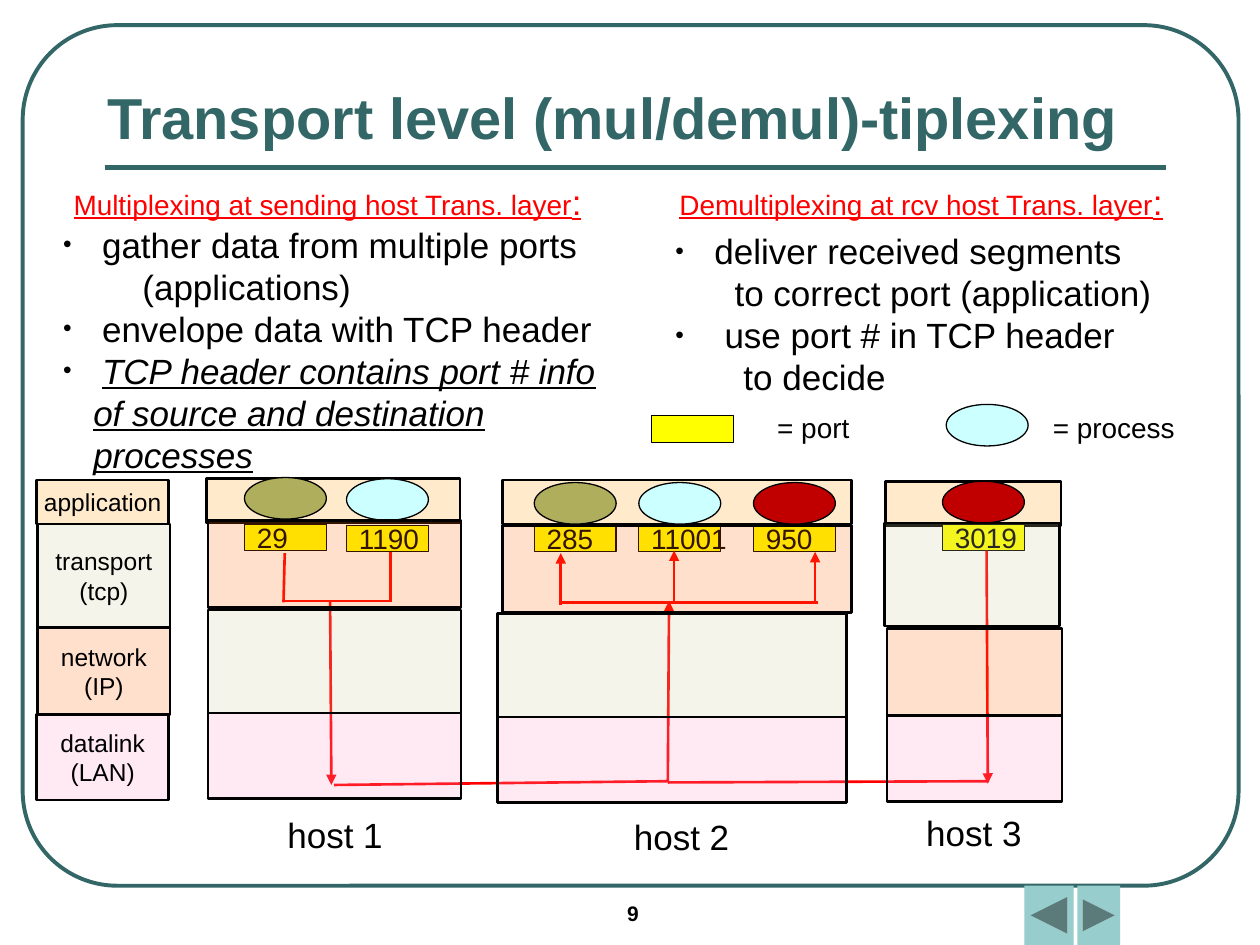
from lxml.etree import SubElement
from pptx import Presentation
from pptx.dml.color import RGBColor
from pptx.enum.shapes import MSO_CONNECTOR as Connector, MSO_SHAPE as Shape
from pptx.enum.text import MSO_ANCHOR as Anchor, MSO_AUTO_SIZE as AutoSize, PP_ALIGN as Align
from pptx.oxml.ns import qn
from pptx.util import Inches, Pt

COLORS = {
    "teal": "336666", "button": "97CDCC", "black": "000000", "white": "FFFFFF",
    "red": "FF0000", "port": "FFFF00", "olive": "AEAE5D", "cyan": "CCFFFF",
    "crimson": "C00000", "application": "FF9900", "transport": "CCCC99",
    "network": "FF6600", "datalink": "FF99CC",
}
HEIGHTS = {"application": 0.35, "transport": 0.82, "network": 0.69, "datalink": 0.68}
PROCESS_SIZE = (0.65, 0.33)
PORT_SIZE = (0.65, 0.21)


class SlideBuilder:
    """Hold the style and the current slide, and draw each kind of element."""

    font_name = "Arial"

    def __init__(self, slide):
        self.slide = slide

    def add_run(self, paragraph, text, size, color="black", **formats):
        run = paragraph.add_run()
        run.text = text
        values = {"name": self.font_name, "size": Pt(size), "bold": False, **formats}
        for name, value in values.items():
            setattr(run.font, name, value)
        run.font.color.rgb = RGBColor.from_string(COLORS[color])

    def set_frame(self, frame, **formats):
        values = {"word_wrap": False, "auto_size": AutoSize.NONE, **formats}
        for name, value in values.items():
            setattr(frame, name, value)

    def add_lines(self, frame, lines, size, align=Align.CENTER, **formats):
        for index, line in enumerate(lines):
            paragraph = frame.add_paragraph() if index else frame.paragraphs[0]
            paragraph.alignment = align
            self.add_run(paragraph, line, size, **formats)

    def place(self, shape, left, top, width, height):
        for name, value in zip(("left", "top", "width", "height"), (left, top, width, height)):
            setattr(shape, name, Inches(value))

    def shape(self, kind, box, fill=None, line="black", weight=0.75, alpha=None):
        shape = self.slide.shapes.add_shape(kind, *map(Inches, box))
        shape.shadow.inherit = False
        if fill:
            shape.fill.solid()
            shape.fill.fore_color.rgb = RGBColor.from_string(COLORS[fill])
        else:
            shape.fill.background()
        if alpha:
            color = shape._element.spPr.find(qn("a:solidFill"))[0]
            SubElement(color, qn("a:alpha"), val=str(alpha * 1000))
        if line:
            shape.line.color.rgb = RGBColor.from_string(COLORS[line])
            shape.line.width = Pt(weight)
        else:
            shape.line.fill.background()
        return shape

    def layer(self, name, left, top, width, lines=()):
        box = (left, top, width, HEIGHTS[name])
        shape = self.shape(Shape.RECTANGLE, box, name, weight=1.5, alpha=20)
        if lines:
            self.set_frame(shape.text_frame, vertical_anchor=Anchor.MIDDLE)
            self.add_lines(shape.text_frame, lines, 14)

    def process(self, left, top, color):
        self.shape(Shape.OVAL, (left, top, *PROCESS_SIZE), color)

    def port(self, left, top, number=None):
        shape = self.shape(Shape.RECTANGLE, (left, top, *PORT_SIZE), "port")
        if number:
            self.set_frame(shape.text_frame, vertical_anchor=Anchor.MIDDLE)
            self.add_lines(shape.text_frame, [number], 16, Align.LEFT)

    def label(self, box, text, size, align=Align.CENTER, **formats):
        text_box = self.slide.shapes.add_textbox(*map(Inches, box))
        self.set_frame(text_box.text_frame)
        self.add_lines(text_box.text_frame, [text], size, align, **formats)

    def line(self, start, end, color="red", weight=1.5, arrow=False):
        points = map(Inches, (*start, *end))
        connector = self.slide.shapes.add_connector(Connector.STRAIGHT, *points)
        connector.line.color.rgb = RGBColor.from_string(COLORS[color])
        connector.line.width = Pt(weight)
        properties = connector._element.spPr
        if arrow:
            SubElement(properties.find(qn("a:ln")), qn("a:tailEnd"), type="triangle")
        SubElement(properties, qn("a:effectLst"))

    def title(self, box, text):
        title = self.slide.shapes.title
        self.place(title, *box)
        self.set_frame(title.text_frame, word_wrap=True, vertical_anchor=Anchor.BOTTOM)
        self.add_lines(title.text_frame, [text], 33, Align.LEFT, color="teal", bold=True)

    def heading(self, box, text):
        shape = self.shape(Shape.RECTANGLE, box, "white", None)
        self.set_frame(shape.text_frame, vertical_anchor=Anchor.TOP)
        self.add_lines(shape.text_frame, [text], 16, color="red", underline=True)
        self.add_run(shape.text_frame.paragraphs[0], ":", 20, "red", underline=True)

    def bullets(self, placeholder, box, items, anchor):
        self.place(placeholder, *box)
        frame = placeholder.text_frame
        self.set_frame(frame, word_wrap=True, vertical_anchor=anchor)
        for index, (text, margin, bulleted, formats) in enumerate(items):
            paragraph = frame.add_paragraph() if index else frame.paragraphs[0]
            paragraph.space_before = paragraph.space_after = Pt(0)
            paragraph.line_spacing = Pt(24)
            properties = paragraph._p.get_or_add_pPr()
            properties.set("marL", str(Inches(margin)))
            properties.set("indent", str(-Inches(margin) if bulleted else 0))
            if bulleted:
                color = SubElement(properties, qn("a:buClr"))
                SubElement(color, qn("a:srgbClr"), val=COLORS["black"])
                SubElement(properties, qn("a:buSzPct"), val="70000")
                SubElement(properties, qn("a:buFont"), typeface=self.font_name)
                SubElement(properties, qn("a:buChar"), char="•")
            else:
                SubElement(properties, qn("a:buNone"))
            self.add_run(paragraph, text, 20, **formats)


def main():
    presentation = Presentation()
    presentation.slide_width, presentation.slide_height = Inches(10), Inches(7.5)
    slide = presentation.slides.add_slide(presentation.slide_layouts[3])
    builder = SlideBuilder(slide)

    frame = builder.shape(Shape.ROUNDED_RECTANGLE, (0.18, 0.2, 9.65, 6.83), None, "teal", 2.25)
    frame.adjustments[0] = 0.11
    builder.line((0.83, 1.33), (9.25, 1.33), "teal", 3)
    builder.shape(Shape.ACTION_BUTTON_BACK_OR_PREVIOUS, (8.13, 7.03, 0.39, 0.47), "button", None)
    builder.shape(Shape.ACTION_BUTTON_FORWARD_OR_NEXT, (8.55, 7.03, 0.34, 0.47), "button", None)
    builder.label((4.88, 7.1, 1.17, 0.33), "9", 12, Align.LEFT, bold=True)
    builder.title((0.75, 0, 8.5, 1.25), "Transport level (mul/demul)-tiplexing")

    emphasis = {"italic": True, "underline": True}
    sending = [
        ("gather data from multiple ports", 0.31, True, {}),
        ("(applications)", 0.63, False, {}),
        ("envelope data with TCP header", 0.31, True, {}),
        ("TCP header contains port # info", 0.31, True, emphasis),
        ("of source and destination processes", 0.24, False, emphasis),
    ]
    receiving = [
        ("deliver received segments", 0.31, True, {}),
        ("to correct port (application)", 0.47, False, {}),
        ("use port # in TCP header", 0.39, True, {}),
        ("to decide", 0.54, False, {}),
    ]
    left_list, right_list = list(slide.placeholders)[1:3]
    builder.bullets(left_list, (0.4, 1.72, 4.62, 2.1), sending, Anchor.TOP)
    builder.bullets(right_list, (5.26, 1.82, 4.16, 1.34), receiving, Anchor.MIDDLE)
    builder.heading((0.48, 1.38, 4.24, 0.44), "Multiplexing at sending host Trans. layer")
    builder.heading((5.29, 1.38, 4.04, 0.44), "Demultiplexing at rcv host Trans. layer")

    builder.port(5.17, 3.3)
    builder.label((6.07, 3.21, 0.77, 0.37), "= port", 16)
    builder.process(7.51, 3.21, "cyan")
    builder.label((8.26, 3.21, 1.16, 0.37), "= process", 16)

    for left, top, width in ((1.64, 3.8, 2.01), (3.99, 3.81, 2.77), (7.03, 3.82, 1.39)):
        builder.layer("application", left, top, width)
    for left, process_top, port_top, color, number in (
        (1.94, 3.79, 4.16, "olive", "29"), (2.75, 3.8, 4.17, "cyan", "1190"),
        (4.24, 3.83, 4.17, "olive", "285"), (5.07, 3.83, 4.17, "cyan", "11001"),
        (5.98, 3.83, 4.17, "crimson", "950"), (7.48, 3.82, 4.16, "crimson", "3019"),
    ):
        builder.port(left, port_top, number)
        builder.process(left, process_top, color)
    for number, (left, top) in enumerate(((2.18, 6.41), (4.93, 6.42), (7.25, 6.39)), 1):
        builder.label((left, top, 0.96, 0.44), f"host {number}", 20)

    for start, end in (
        ((2.65, 6.23), (5.3, 6.2)), ((5.3, 6.21), (7.84, 6.2)),
        ((3.1, 4.38), (3.1, 4.78)), ((2.26, 4.39), (2.25, 4.78)),
        ((2.26, 4.77), (3.09, 4.77)), ((4.44, 4.78), (6.49, 4.78)),
    ):
        builder.line(start, end)
    for start, end in (
        ((5.3, 6.2), (5.31, 4.77)), ((7.83, 4.37), (7.84, 6.22)),
        ((2.62, 4.77), (2.63, 6.23)), ((4.45, 4.8), (4.45, 4.39)),
        ((5.35, 4.78), (5.35, 4.37)), ((6.47, 4.78), (6.47, 4.38)),
    ):
        builder.line(start, end, arrow=True)

    for width, layers in (
        (2.01, (("transport", 1.65, 4.84), ("network", 1.65, 4.13), ("datalink", 1.65, 5.66))),
        (2.77, (("transport", 3.95, 4.87), ("network", 3.99, 4.17), ("datalink", 3.95, 5.69))),
        (1.39, (("transport", 7.02, 4.15), ("network", 7.04, 4.99), ("datalink", 7.04, 5.68))),
    ):
        for name, left, top in layers:
            builder.layer(name, left, top, width)
    for name, left, top, protocol in (
        ("application", 0.29, 3.81, []), ("transport", 0.3, 4.16, ["(tcp)"]),
        ("network", 0.3, 4.98, ["(IP)"]), ("datalink", 0.29, 5.67, ["(LAN)"]),
    ):
        builder.layer(name, left, top, 1.05, [name, *protocol])

    presentation.save("out.pptx")


if __name__ == "__main__":
    main()
